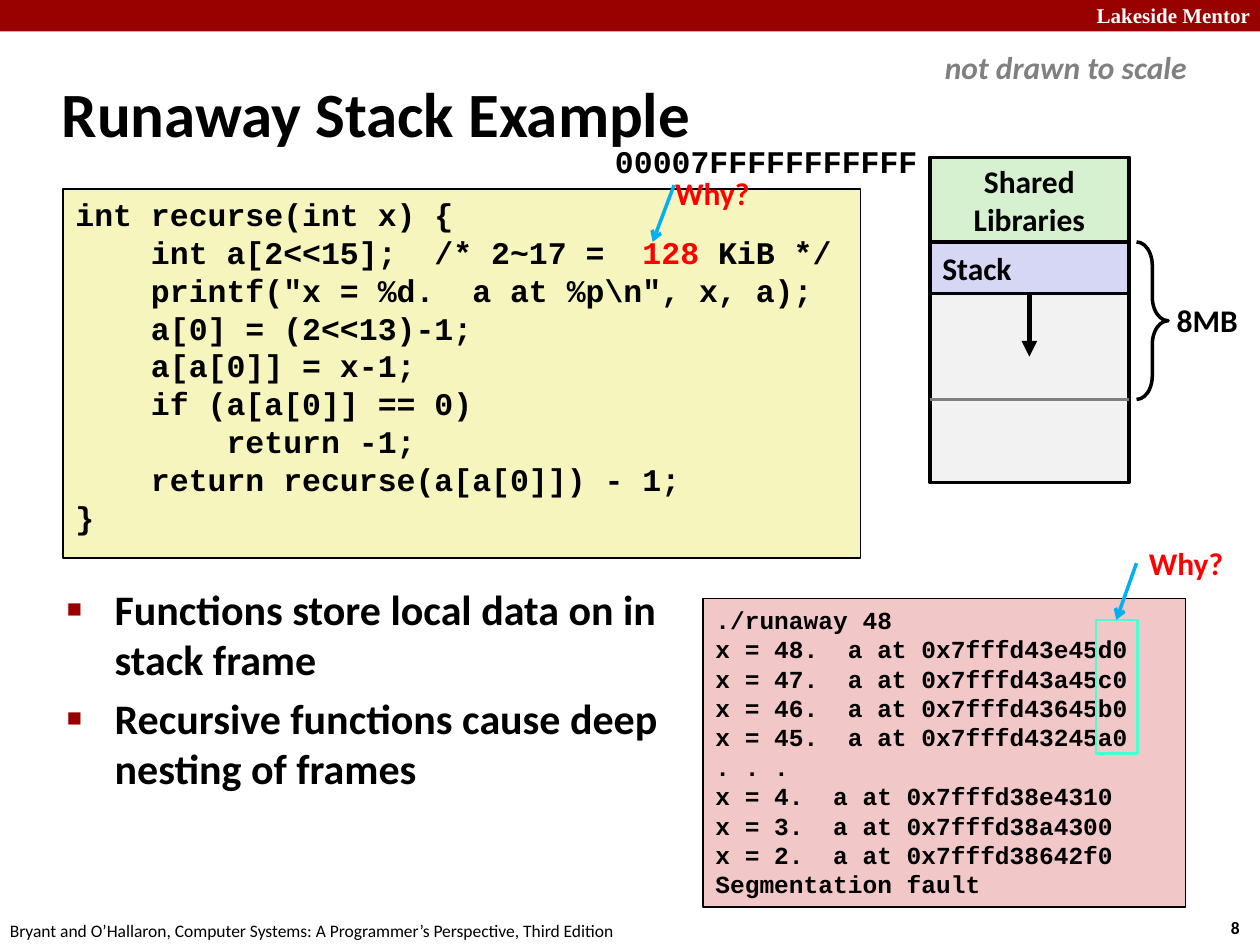
from lxml import etree
from pptx import Presentation
from pptx.dml.color import RGBColor
from pptx.enum.shapes import MSO_CONNECTOR as Link, MSO_SHAPE as Shape
from pptx.enum.text import MSO_ANCHOR as Anchor, MSO_AUTO_SIZE as Fit, PP_ALIGN as Align
from pptx.oxml.ns import qn
from pptx.util import Inches, Pt

# Content
TITLE = "Runaway Stack Example"
BULLETS = ["Functions store local data on in stack frame",
           "Recursive functions cause deep nesting of frames"]
CODE = [  # indent level, runs of (text, colour)
    (0, [("int recurse(int x) {", "black")]),
    (1, [("int a[2<<15];  /* 2~17 =  ", "black"), ("128 ", "red"), ("KiB */", "black")]),
    (1, [('printf("x = %d.  a at %p\\n", x, a);', "black")]),
    (1, [("a[0] = (2<<13)-1;", "black")]),
    (1, [("a[a[0]] = x-1;", "black")]),
    (1, [("if (a[a[0]] == 0)", "black")]),
    (2, [("return -1;", "black")]),
    (1, [("return recurse(a[a[0]]) - 1;", "black")]),
    (0, [("}", "black")]),
]
FRAMES = [(48, "43e45d0"), (47, "43a45c0"), (46, "43645b0"), (45, "43245a0"), None,
          (4, "38e4310"), (3, "38a4300"), (2, "38642f0")]
OUTPUT = ["./runaway 48",
          *(f"x = {f[0]}.  a at 0x7fffd{f[1]}" if f else ". . ." for f in FRAMES),
          "Segmentation fault"]
COLORS = {"black": "000000", "white": "FFFFFF", "banner": "990000", "red": "FF0000",
          "gray": "808080", "code": "F6F5BD", "output": "F1C7C7", "memory": "F2F2F2",
          "stack": "D6D6F5", "shared": "D5F1CF", "arrow": "00B0F0", "marker": "47FFD1"}

# Memory map: one column and its row boundaries, in inches
MAP_LEFT, MAP_WIDTH = 7.38, 1.58
SHARED_TOP, STACK_TOP, STACK_END, LIMIT, MAP_END = 1.25, 1.92, 2.33, 3.17, 3.83
CALLOUTS = [  # label corner, arrow start, arrow tip, marked area
    ((9.02, 4.27), (9.02, 4.47), (8.86, 4.92), (8.7, 4.92, 0.33, 1.06)),
    ((5.26, 1.33), (5.35, 1.47), (5.18, 1.92), None),
]
BODY = {"name": "Calibri", "size": Pt(18), "bold": True}
MONO = {**BODY, "name": "Courier New"}
SMALL = {**BODY, "size": Pt(10)}

prs = Presentation()
prs.slide_width, prs.slide_height = Inches(10), Inches(7.5)
slide = prs.slides.add_slide(prs.slide_layouts[1])


def rgb(name):
    return RGBColor.from_string(COLORS[name])


def inches(values):
    return [Inches(v) for v in values]


def write(frame, lines, font, color="black", align=Align.LEFT, wrap=True, anchor=Anchor.TOP):
    """Each line is a string or a list of (text, colour) runs."""
    for key, value in {"auto_size": Fit.NONE, "word_wrap": wrap, "vertical_anchor": anchor}.items():
        setattr(frame, key, value)
    for i, line in enumerate(lines):
        para = frame.paragraphs[0] if i == 0 else frame.add_paragraph()
        para.alignment = align
        for text, ink in ([(line, color)] if isinstance(line, str) else line):
            run = para.add_run()
            run.text = text
            for key, value in font.items():
                setattr(run.font, key, value)
            run.font.color.rgb = rgb(ink)


def indent(para, left, first=0):
    props = para._p.get_or_add_pPr()
    props.set("marL", str(Inches(left)))
    props.set("indent", str(Inches(first)))
    return props


def label(text, box, font, parent=slide, wrap=False, **style):
    frame = parent.shapes.add_textbox(*inches(box)).text_frame
    write(frame, [text], font, wrap=wrap, **style)
    frame.auto_size = Fit.SHAPE_TO_FIT_TEXT


def block(box, fill=None, line="black", width=2, kind=Shape.RECTANGLE, parent=slide):
    shape = parent.shapes.add_shape(kind, *inches(box))
    shape.shadow.inherit = False
    for part, color in ((shape.fill, fill), (shape.line.fill, line)):
        if color:
            part.solid()
            part.fore_color.rgb = rgb(color)
        else:
            part.background()
    if line:
        shape.line.width = Pt(width)
    return shape


def connect(start, end, color, width, head=None, parent=slide):
    link = parent.shapes.add_connector(Link.STRAIGHT, *inches(start + end))
    link.line.color.rgb = rgb(color)
    link.line.width = Pt(width)
    if head:
        etree.SubElement(link.line._get_or_add_ln(), qn("a:tailEnd"), type=head)
    etree.SubElement(link._element.spPr, qn("a:effectLst"))


# Banner, page number and footer
block((0, 0, 10, 0.25), "banner", None)
label("Lakeside Mentor", (8.32, -0.03, 1.7, 0.3), {**BODY, "name": "Times New Roman", "size": Pt(12)},
      color="white", align=Align.RIGHT, wrap=True)
label("8", (9.67, 7.23, 0.37, 0.27), SMALL)
label("Bryant and O’Hallaron, Computer Systems: A Programmer’s Perspective, Third Edition",
      (-0.02, 7.25, 5.08, 0.27), {**SMALL, "bold": False})

# Title and bullets
heading, points = slide.shapes.title, slide.placeholders[1]
for holder, box in ((heading, (0.39, 0.48, 8.3, 0.83)), (points, (0.43, 4.58, 5.07, 2.34))):
    holder.left, holder.top, holder.width, holder.height = inches(box)
write(heading.text_frame, [TITLE], {**BODY, "size": Pt(36)}, anchor=Anchor.MIDDLE)
indent(heading.text_frame.paragraphs[0], 0.13, -0.13)
write(points.text_frame, BULLETS, {**BODY, "size": Pt(24)})
for point in points.text_frame.paragraphs:
    point.space_before = Pt(4.8)
    props = indent(point, 0.38, -0.38)
    bullet_color = etree.SubElement(props, qn("a:buClr"))
    etree.SubElement(bullet_color, qn("a:srgbClr"), val=COLORS["banner"])
    etree.SubElement(props, qn("a:buSzPct"), val="60000")
    etree.SubElement(props, qn("a:buChar"), char="■")

# Code listing, four characters of 0.15 inch per indent level
code = block((0.5, 1.5, 6.33, 2.93), "code", width=1).text_frame
write(code, [runs for _, runs in CODE], MONO)
for para, (level, _) in zip(code.paragraphs, CODE):
    indent(para, level * 4 * 0.15)

# Memory map
label("not drawn to scale", (7.4, 0.33, 2.13, 0.4), {**BODY, "italic": True}, color="gray")
block((MAP_LEFT, SHARED_TOP, MAP_WIDTH, MAP_END - SHARED_TOP), "memory")
label("00007FFFFFFFFFFF", (4.75, 1.08, 2.63, 0.4), MONO, align=Align.RIGHT)
for lines, top, bottom, fill, align in (
        (["Stack"], STACK_TOP, STACK_END, "stack", Align.LEFT),
        (["Shared", "Libraries"], SHARED_TOP, STACK_TOP, "shared", Align.CENTER)):
    region = block((MAP_LEFT, top, MAP_WIDTH, bottom - top), fill)
    write(region.text_frame, lines, BODY, align=align, anchor=Anchor.MIDDLE)
middle = MAP_LEFT + MAP_WIDTH / 2
connect((middle, STACK_END), (middle, STACK_END + 0.5), "black", 3, "triangle")
connect((MAP_LEFT, LIMIT), (MAP_LEFT + MAP_WIDTH, LIMIT), "gray", 2)
brace = block((9.02, STACK_TOP, 0.25, LIMIT - STACK_TOP), kind=Shape.LEFT_BRACE)
brace.rotation = 180
brace.adjustments[0] = 0.75
label("8MB", (9.24, 2.34, 0.69, 0.4), BODY)

# Program output
output = block((5.58, 4.75, 3.83, 2.45), "output", width=1)
write(output.text_frame, OUTPUT, {**MONO, "size": Pt(14)})

# Callouts
for corner, start, tip, area in CALLOUTS:
    group = slide.shapes.add_group_shape()
    if area:
        block(area, line="marker", width=1.5, parent=group)
    connect(start, tip, "arrow", 2, "arrow", parent=group)
    label("Why?", corner + (0.8, 0.4), BODY, parent=group, color="red")

prs.save("out.pptx")
